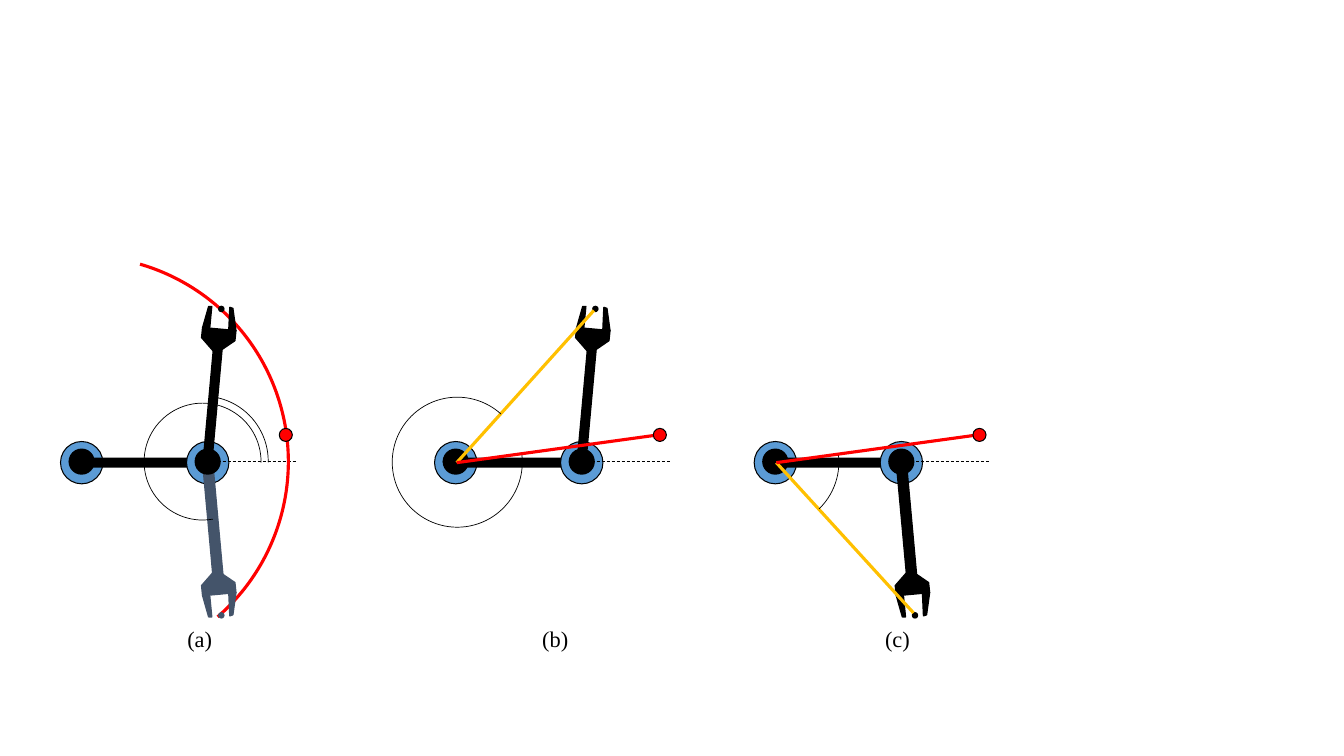
from lxml.etree import SubElement
from pptx import Presentation
from pptx.dml.color import RGBColor
from pptx.enum.dml import MSO_LINE
from pptx.enum.shapes import MSO_CONNECTOR, MSO_SHAPE as SHAPE
from pptx.enum.text import MSO_AUTO_SIZE
from pptx.oxml.ns import qn
from pptx.util import Emu, Pt

BLACK = RGBColor(0x00, 0x00, 0x00)
BLUE = RGBColor(0x5B, 0x9B, 0xD5)
SLATE = RGBColor(0x44, 0x54, 0x6A)
RED = RGBColor(0xFF, 0x00, 0x00)
AMBER = RGBColor(0xFF, 0xC0, 0x00)

PX = 9144
AXIS = 458
UP, DOWN = -1, 1
PALM = [(140, 123), (141, 133), (174, 130), (173, 120), (154, 107)]
FINGERS = [
    [(141, 133), (147, 154), (150, 154), (148, 133)],
    [(174, 130), (171, 152), (168, 153), (167, 131)],
]


class Sketch:
    font = "Times New Roman"
    size = Pt(16)

    def __init__(self, slide):
        self.slide = slide
        self.shapes = slide.shapes

    def open_group(self):
        self.shapes = self.slide.shapes.add_group_shape().shapes

    def close_group(self):
        self.shapes = self.slide.shapes

    def style(self, sp, fill, line, width):
        sp.shadow.inherit = False
        if fill is None:
            sp.fill.background()
        else:
            sp.fill.solid()
            sp.fill.fore_color.rgb = fill
        if line is None:
            sp.line.fill.background()
        else:
            sp.line.color.rgb = line
            sp.line.width = Pt(width)

    def shape(self, kind, x, y, w, h, fill=None, line=None, width=0.75):
        sp = self.shapes.add_shape(kind, *(Emu(v * PX) for v in (x, y, w, h)))
        self.style(sp, fill, line, width)
        return sp

    def circle(self, x, y, d, fill, line=None, width=0.75):
        self.shape(SHAPE.OVAL, x, y, d, d, fill, line, width)

    def arc(self, x, y, d, start, end, color=BLACK, width=0.5):
        sp = self.shape(SHAPE.ARC, x, y, d, d, None, color, width)
        for i, degrees in enumerate((start, end)):
            sp.adjustments[i] = degrees * 0.6

    def line(self, x1, y1, x2, y2, color=BLACK, width=2.25, dash=None):
        sp = self.shapes.add_connector(
            MSO_CONNECTOR.STRAIGHT, *(Emu(v * PX) for v in (x1, y1, x2, y2)))
        sp.line.color.rgb = color
        sp.line.width = Pt(width)
        if dash:
            sp.line.dash_style = dash
        SubElement(sp._element.spPr, qn("a:effectLst"))

    def polygon(self, points, color):
        builder = self.shapes.build_freeform(*points[0], scale=PX)
        builder.add_line_segments(points[1:], close=True)
        self.style(builder.convert_to_shape(), color, color, 1)

    def label(self, text, x, y):
        sp = self.shapes.add_textbox(*(Emu(v * PX) for v in (x, y, 53, 37)))
        tf = sp.text_frame
        tf.word_wrap = True
        tf.auto_size = MSO_AUTO_SIZE.SHAPE_TO_FIT_TEXT
        p = tf.paragraphs[0]
        p.text = text
        p.font.name = self.font
        p.font.size = self.size
        p.font.color.rgb = BLACK

    def hub(self, x):
        self.circle(x, 445, 26, BLACK)

    def upper_arm(self, x):
        self.circle(x, 438, 42, BLUE, BLACK)
        self.hub(x + 8)
        self.open_group()
        self.shape(SHAPE.RECTANGLE, x + 22, 454, 122, 10, BLACK)
        self.circle(x + 125, 438, 42, BLUE, BLACK)
        self.line(x + 146, AXIS, x + 234, AXIS, BLACK, 0.5, MSO_LINE.DASH)
        self.close_group()
        self.line(x + 8, AXIS, x + 122, AXIS + 1, BLACK, 0.5, MSO_LINE.DASH)

    def forearm(self, x, side, color=BLACK):
        self.open_group()
        outline = color if side == DOWN else None
        bar = self.shape(SHAPE.RECTANGLE, x + 100, AXIS + side * 62 - 5, 103, 10,
                         color, outline, 1)
        bar.rotation = side * 84.8 % 360
        for part in (PALM, *FINGERS):
            self.polygon([(x + dx, AXIS + side * dy) for dx, dy in part], color)
        self.circle(x + 157, AXIS + side * 152 - 2, 5, color, color, 1)
        self.close_group()

    def target(self, x):
        self.circle(x + 217, 425, 13, RED, BLACK)

    def reach(self, x, side, arc_x, arc_end):
        self.upper_arm(x)
        self.forearm(x, side)
        self.hub(x + 133)
        self.line(x + 22, 459, x + 158, AXIS + side * 150, AMBER)
        self.arc(arc_x, 394, 129, 352.6, arc_end)
        self.line(x + 218, 432, x + 22, 459, RED)
        self.target(x)


def main():
    prs = Presentation()
    prs.slide_width, prs.slide_height = Emu(1333 * PX), Emu(750 * PX)
    s = Sketch(prs.slides.add_slide(prs.slide_layouts[6]))

    left = 60
    s.upper_arm(left)
    s.arc(137, 393, 129, 277.1, 1)
    s.arc(-122, 254, 408, 286.2, 49, RED, 2.25)
    s.forearm(left, UP)
    s.forearm(left, DOWN, SLATE)
    s.hub(left + 133)
    s.arc(143, 400, 116, 79.8, 1)
    s.target(left)

    s.reach(431, UP, 389, 312.2)
    s.reach(748, DOWN, 703, 46)

    for text, x in (("(a)", 176), ("(b)", 528), ("(c)", 868)):
        s.label(text, x, 615)

    prs.save("out.pptx")


if __name__ == "__main__":
    main()
